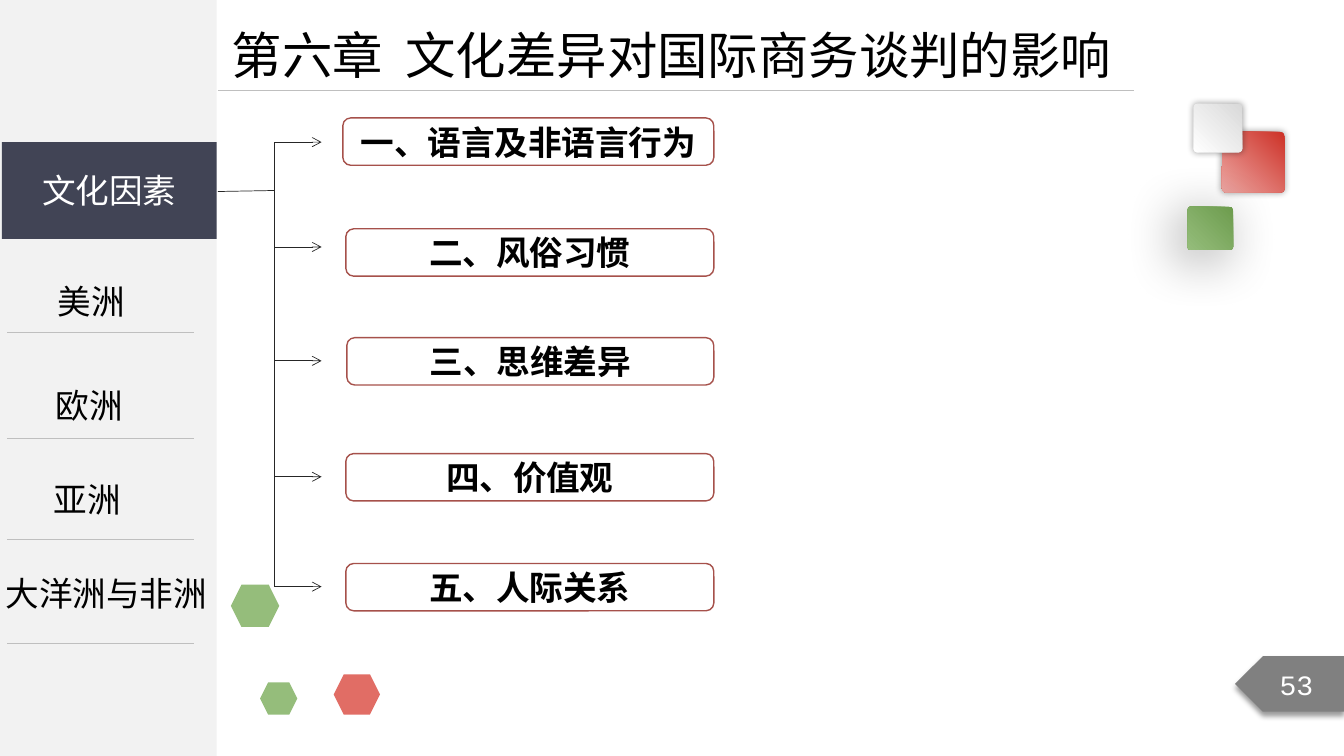
from dataclasses import dataclass

from lxml.etree import SubElement
from pptx import Presentation
from pptx.dml.color import RGBColor
from pptx.enum.shapes import MSO_CONNECTOR as CONN, MSO_SHAPE as SHAPE
from pptx.enum.text import MSO_ANCHOR as ANCHOR, MSO_AUTO_SIZE as AUTO, PP_ALIGN as ALIGN
from pptx.oxml.ns import qn
from pptx.util import Inches, Pt


@dataclass(frozen=True)
class Theme:
    font: str = "Noto Sans CJK SC"
    number_font: str = "Courier New"
    title: int = 36
    body: int = 24
    number: int = 20
    hair: float = 0.5
    frame: float = 1
    ink: str = "000000"
    paper: str = "FFFFFF"
    panel: str = "F2F2F2"
    active: str = "414455"
    rule: str = "BFBFBF"
    branch: str = "262626"
    border: str = "A6514B"
    tag: str = "808080"
    green: str = "95BD7B"
    red: str = "E16D65"
    red_fade: tuple = ("CD3228", "EDA7A3")
    green_fade: tuple = ("6D9C4E", "95BD7B")
    grey_fade: tuple = ("D9D9D9", "FFFFFF")


T = Theme()
COLS, ROWS = 1333, 750
CELL = Inches(0.01)
PANEL_RIGHT, TRUNK, ARROW_END = 216, 272, 319


def rgb(value):
    return RGBColor.from_string(value)


def cells(*counts):
    return [int(n * CELL) for n in counts]


def apply(target, values):
    for name, value in values.items():
        setattr(target, name, value)


def add_run(p, text, size, color, font=T.font, bold=None, spacing=None):
    r = p.add_run()
    r.text = text
    apply(r.font, {"size": Pt(size), "name": font, "bold": bold})
    r.font.color.rgb = rgb(color)
    rPr = r.font._element
    SubElement(rPr, qn("a:ea")).set("typeface", font)
    if spacing is not None:
        rPr.set("spc", str(spacing))


def add_shadow(sp, blur, dist, angle):
    effects = sp._element.spPr.find(qn("a:effectLst"))
    shadow = SubElement(effects, qn("a:outerShdw"), {
        "blurRad": str(Pt(blur)), "dist": str(Pt(dist)),
        "dir": str(angle * 60000), "algn": "ctr", "rotWithShape": "0"})
    color = SubElement(shadow, qn("a:srgbClr"), val="000000")
    SubElement(color, qn("a:alpha"), val="40000")


def add_block(slide, kind, box, fill=None, line=None, flip=False):
    sp = slide.shapes.add_shape(kind, *cells(*box))
    sp.shadow.inherit = False
    if fill:
        sp.fill.solid()
        sp.fill.fore_color.rgb = rgb(fill)
    else:
        sp.fill.background()
    if line:
        sp.line.color.rgb = rgb(line)
        sp.line.width = Pt(T.frame)
    else:
        sp.line.fill.background()
    if flip:
        sp._element.spPr.xfrm.set("flipH", "1")
    return sp


def add_label(sp, text, size, color, **style):
    tf = sp.text_frame
    apply(tf, {"word_wrap": True, "vertical_anchor": ANCHOR.MIDDLE})
    p = tf.paragraphs[0]
    p.alignment = ALIGN.CENTER
    add_run(p, text, size, color, **style)


def add_text(slide, box, runs, size, align=ALIGN.CENTER, leading=None):
    tf = slide.shapes.add_textbox(*cells(*box)).text_frame
    apply(tf, {"word_wrap": True, "auto_size": AUTO.SHAPE_TO_FIT_TEXT})
    p = tf.paragraphs[0]
    apply(p, {"alignment": align, "line_spacing": leading})
    for text, spacing in runs:
        add_run(p, text, size, T.ink, spacing=spacing)


def add_line(slide, ends, color, arrow=False):
    line = slide.shapes.add_connector(CONN.STRAIGHT, *cells(*ends))
    line.line.color.rgb = rgb(color)
    line.line.width = Pt(T.hair)
    if arrow:
        SubElement(line.line._get_or_add_ln(), qn("a:tailEnd"), type="arrow")
    SubElement(line._element.spPr, qn("a:effectLst"))


def add_tile(slide, box, fade, shadow):
    sp = add_block(slide, SHAPE.ROUNDED_RECTANGLE, box)
    sp.adjustments[0] = 0.07
    sp.fill.gradient()
    sp.fill.gradient_angle = 225
    for stop, color in zip(sp.fill.gradient_stops, fade):
        stop.color.rgb = rgb(color)
    add_shadow(sp, *shadow)


def add_decor(slide):
    add_tile(slide, (1212, 131, 62, 60), T.red_fade, (5, 0, 0))
    add_tile(slide, (1178, 205, 45, 43), T.green_fade, (40, 9, 135))
    add_tile(slide, (1184, 103, 48, 48), T.grey_fade, (5, 0, 0))
    for box, color in (((331, 669, 46, 40), T.red),
                       ((258, 677, 37, 32), T.green),
                       ((229, 580, 48, 42), T.green)):
        add_block(slide, SHAPE.HEXAGON, box, color, flip=True)


def add_sidebar(slide):
    add_block(slide, SHAPE.RECTANGLE, (-1, 0, PANEL_RIGHT, ROWS), T.panel)
    active = add_block(slide, SHAPE.RECTANGLE, (2, 141, 213, 96), T.active)
    add_label(active, "文化因素", T.body, T.paper)
    for name, box, leading, rule in (
            ("美洲", (-1, 274, 183, 50), None, 330),
            ("欧洲", (-3, 357, 183, 64), 1.5, 435),
            ("亚洲", (-5, 450, 183, 64), 1.5, 535),
            ("大洋洲与非洲", (-5, 563, 221, 50), None, 638)):
        add_text(slide, box, [(name, None)], T.body, leading=leading)
        add_line(slide, (7, rule, 192, rule), T.rule)


def add_header(slide):
    add_line(slide, (PANEL_RIGHT, 90, 1125, 90), T.rule)
    runs = [("第六章", None), (" ", 800), ("文化差异对国际商务谈判的影响", None)]
    add_text(slide, (220, 19, 967, 71), runs, T.title, ALIGN.LEFT)


def add_factors(slide):
    factors = (("一、语言及非语言行为", 340, 117, 141),
               ("二、风俗习惯", 343, 227, 245),
               ("三、思维差异", 344, 335, 358),
               ("四、价值观", 343, 450, 473),
               ("五、人际关系", 343, 559, 582))
    right, height = 708, 47
    add_line(slide, (PANEL_RIGHT, 190, TRUNK, 189), T.branch)
    add_line(slide, (TRUNK, factors[0][-1], TRUNK, factors[-1][-1]), T.branch)
    for text, left, top, arrow_row in factors:
        add_line(slide, (TRUNK, arrow_row, ARROW_END, arrow_row), T.branch, arrow=True)
        sp = add_block(slide, SHAPE.ROUNDED_RECTANGLE,
                       (left, top, right - left, height), line=T.border)
        add_label(sp, text, T.body, T.ink, bold=True, spacing=-10)


def add_page_tag(slide):
    sp = add_block(slide, SHAPE.PENTAGON, (1225, 651, 108, 55), T.tag, flip=True)
    add_shadow(sp, 4, 3, 90)
    add_label(sp, "53", T.number, T.paper, font=T.number_font)


def main():
    prs = Presentation()
    apply(prs, {"slide_width": COLS * CELL, "slide_height": ROWS * CELL})
    slide = prs.slides.add_slide(prs.slide_layouts[6])
    for add_part in (add_decor, add_sidebar, add_header, add_factors, add_page_tag):
        add_part(slide)
    prs.save("out.pptx")


main()
